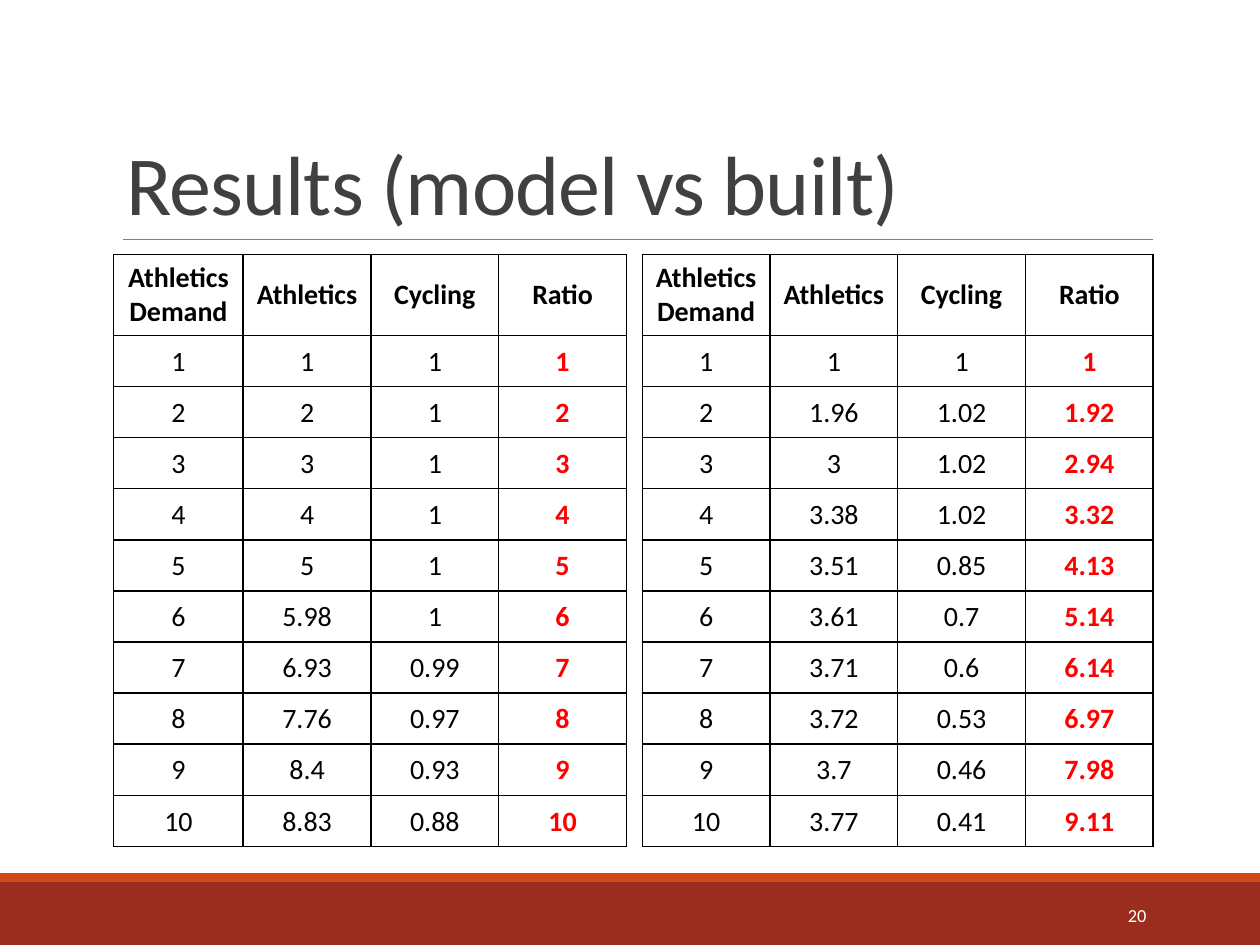
from lxml import etree
from pptx import Presentation
from pptx.dml.color import RGBColor
from pptx.enum.shapes import MSO_CONNECTOR, MSO_SHAPE
from pptx.enum.text import MSO_ANCHOR, MSO_AUTO_SIZE, PP_ALIGN
from pptx.oxml.ns import qn
from pptx.util import Pt

RECT, LINE = MSO_SHAPE.RECTANGLE, MSO_CONNECTOR.STRAIGHT
MIDDLE, BOTTOM = MSO_ANCHOR.MIDDLE, MSO_ANCHOR.BOTTOM
LEFT, CENTER, RIGHT = PP_ALIGN.LEFT, PP_ALIGN.CENTER, PP_ALIGN.RIGHT
NO_FIT = MSO_AUTO_SIZE.NONE

HEAD = ["Athletics Demand", "Athletics", "Cycling", "Ratio"]
MODEL = [
    ("1", "1", "1", "1"),
    ("2", "2", "1", "2"),
    ("3", "3", "1", "3"),
    ("4", "4", "1", "4"),
    ("5", "5", "1", "5"),
    ("6", "5.98", "1", "6"),
    ("7", "6.93", "0.99", "7"),
    ("8", "7.76", "0.97", "8"),
    ("9", "8.4", "0.93", "9"),
    ("10", "8.83", "0.88", "10"),
]
BUILT = [
    ("1", "1", "1", "1"),
    ("2", "1.96", "1.02", "1.92"),
    ("3", "3", "1.02", "2.94"),
    ("4", "3.38", "1.02", "3.32"),
    ("5", "3.51", "0.85", "4.13"),
    ("6", "3.61", "0.7", "5.14"),
    ("7", "3.71", "0.6", "6.14"),
    ("8", "3.72", "0.53", "6.97"),
    ("9", "3.7", "0.46", "7.98"),
    ("10", "3.77", "0.41", "9.11"),
]


def color(code):
    return RGBColor.from_string(code)


class Deck:
    font = "Calibri"
    ink, mark, gray = "000000", "FF0000", "404040"

    def __init__(self, wide, high):
        self.prs = Presentation()
        self.prs.slide_width, self.prs.slide_height = Pt(wide), Pt(high)
        self.slide = self.prs.slides.add_slide(self.prs.slide_layouts[5])

    def style(self, frame, size, code, align, bold=False):
        for para in frame.paragraphs:
            para.alignment = align
            for run in para.runs:
                run.font.name, run.font.size = self.font, Pt(size)
                run.font.bold = bold
                run.font.color.rgb = color(code)

    def band(self, top, high, code):
        box = self.slide.shapes.add_shape(
            RECT, 0, Pt(top), self.prs.slide_width, Pt(high))
        box.shadow.inherit = False
        box.fill.solid()
        box.fill.fore_color.rgb = color(code)
        box.line.fill.background()

    def rule(self, left, right, top, code):
        line = self.slide.shapes.add_connector(
            LINE, Pt(left), Pt(top), Pt(right), Pt(top))
        line.line.color.rgb, line.line.width = color(code), Pt(0.5)
        etree.SubElement(line._element.spPr, qn("a:effectLst"))

    def title(self, text, left, top, wide, high):
        box = self.slide.shapes.title
        box.left, box.top, box.width, box.height = map(
            Pt, (left, top, wide, high))
        frame = box.text_frame
        frame.text = text
        frame.auto_size, frame.vertical_anchor = NO_FIT, BOTTOM
        self.style(frame, 48, self.gray, LEFT)
        para = frame.paragraphs[0]
        para.line_spacing = 0.85
        para.runs[0].font._element.set("spc", "-50")

    def label(self, text, left, top, wide, high):
        box = self.slide.shapes.add_textbox(*map(Pt, (left, top, wide, high)))
        frame = box.text_frame
        frame.text = text
        frame.word_wrap, frame.vertical_anchor = True, MIDDLE
        self.style(frame, 10.5, "FFFFFF", RIGHT)

    def border(self, cell):
        props = cell._tc.get_or_add_tcPr()
        for side in ("lnL", "lnR", "lnT", "lnB"):
            line = etree.SubElement(props, qn("a:" + side), w=str(Pt(1)))
            fill = etree.SubElement(line, qn("a:solidFill"))
            etree.SubElement(fill, qn("a:srgbClr"), val=self.ink)

    def table(self, data, left, top, cols, head=46.4, high=29.2):
        rows = [HEAD] + data
        grid = self.slide.shapes.add_table(
            len(rows), len(cols), Pt(left), Pt(top), Pt(sum(cols)),
            Pt(head + high * len(data))).table
        for col, wide in zip(grid.columns, cols):
            col.width = Pt(wide)
        for i, row in enumerate(rows):
            grid.rows[i].height = Pt(high if i else head)
            for j, text in enumerate(row):
                cell = grid.cell(i, j)
                cell.text_frame.text = text
                cell.vertical_anchor = MIDDLE
                if i:
                    cell.margin_left = cell.margin_right = Pt(0.72)
                    cell.margin_top, cell.margin_bottom = Pt(0.72), 0
                ratio = i > 0 and j == len(cols) - 1
                self.style(cell.text_frame, 16,
                           self.mark if ratio else self.ink,
                           CENTER, ratio or i == 0)
                self.border(cell)
                cell.fill.background()


def main():
    deck = Deck(720, 540)

    # Footer bands and title rule
    deck.band(504, 36, "9B2D1F")
    deck.band(499, 5, "D34817")
    deck.rule(70.5, 659, 136.8, "808080")

    # Title
    deck.title("Results (model vs built)", 65, 22.5, 594, 114.3)

    # Model results beside built results
    deck.table(MODEL, 65, 145.3, [74, 73, 73, 73])
    deck.table(BUILT, 367, 145.3, [73] * 4)

    # Page number
    deck.label("20", 584.6, 508.5, 77.6, 28.8)

    deck.prs.save("out.pptx")


if __name__ == "__main__":
    main()
